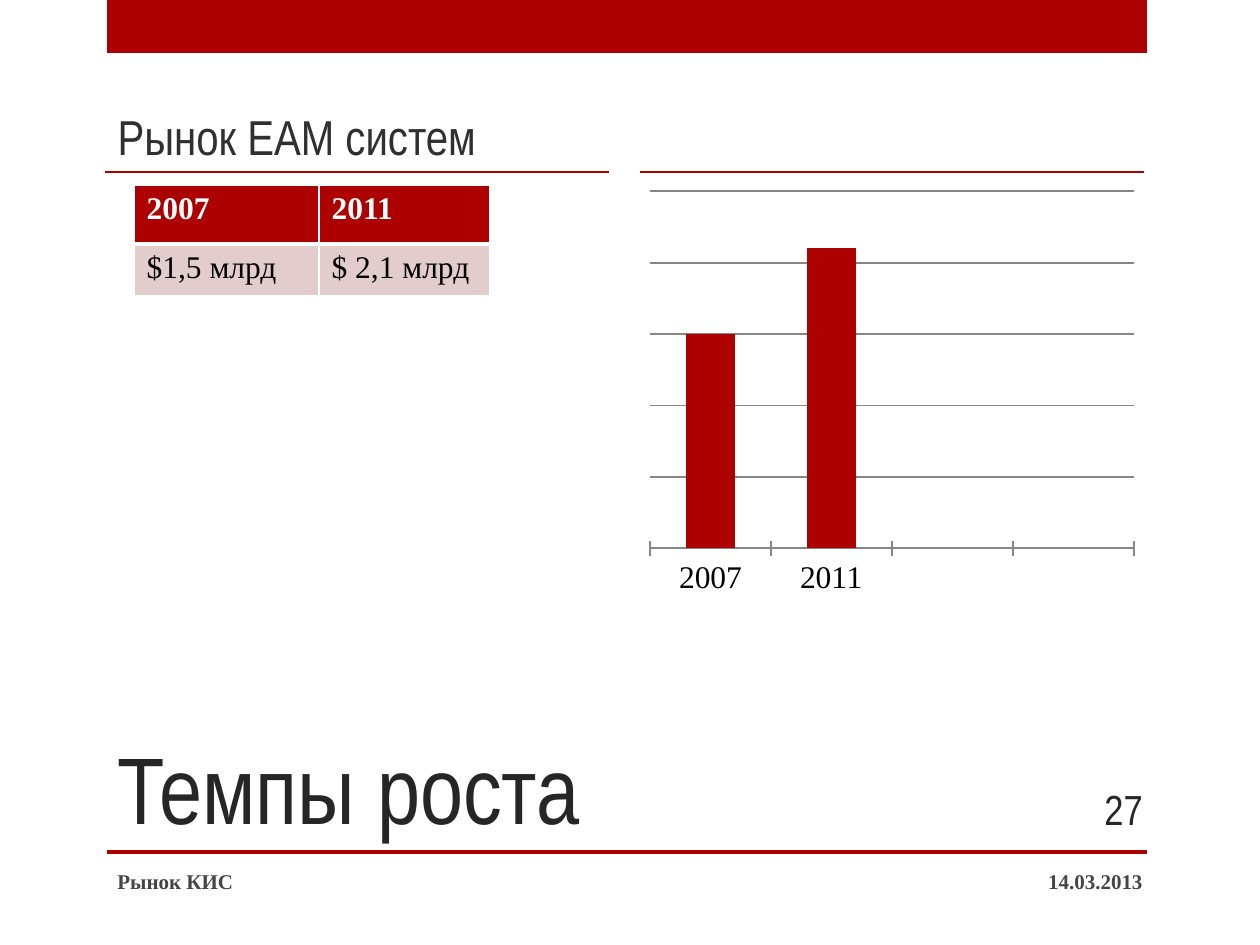
from dataclasses import dataclass

from lxml import etree
from pptx import Presentation
from pptx.chart.data import CategoryChartData
from pptx.dml.color import RGBColor
from pptx.enum.chart import XL_CHART_TYPE, XL_TICK_LABEL_POSITION, XL_TICK_MARK
from pptx.enum.shapes import MSO_CONNECTOR, MSO_SHAPE
from pptx.enum.text import MSO_ANCHOR, MSO_AUTO_SIZE, PP_ALIGN
from pptx.oxml.ns import qn
from pptx.util import Emu, Pt

STACKED = XL_CHART_TYPE.COLUMN_STACKED
LABEL_LOW = XL_TICK_LABEL_POSITION.LOW
TICK_CROSS = XL_TICK_MARK.CROSS
STRAIGHT = MSO_CONNECTOR.STRAIGHT
RECT = MSO_SHAPE.RECTANGLE
TOP, MIDDLE, BOTTOM = MSO_ANCHOR.TOP, MSO_ANCHOR.MIDDLE, MSO_ANCHOR.BOTTOM
NO_FIT = MSO_AUTO_SIZE.NONE
LEFT, RIGHT = PP_ALIGN.LEFT, PP_ALIGN.RIGHT
COMPARISON_LAYOUT = 4
EMU_PER_PX = 914400 / 126


@dataclass(frozen=True)
class Theme:
    heading_font: str = "Arial Narrow"
    body_font: str = "Times New Roman"
    accent: str = "AD0101"
    brown: str = "726056"
    tan: str = "AC956E"
    pale: str = "E3CCCC"
    white: str = "FFFFFF"
    black: str = "000000"
    title: str = "262626"
    subtitle: str = "303030"
    footer: str = "454545"
    grid: str = "868686"
    title_size: int = 54
    subtitle_size: int = 28
    number_size: int = 24
    body_size: int = 18
    footer_size: int = 12


T = Theme()


@dataclass(frozen=True)
class Box:
    x: int
    y: int
    w: int
    h: int

    def emu(self) -> tuple:
        return px(self.x), px(self.y), px(self.w), px(self.h)


@dataclass(frozen=True)
class Note:
    text: str
    box: Box
    align: PP_ALIGN
    fmt: dict


def px(n: int) -> Emu:
    return Emu(round(n * EMU_PER_PX))


def rgb(color: str) -> RGBColor:
    return RGBColor.from_string(color)


def write(tf, text: str, *, size: int, color: str, font: str = T.body_font,
          bold: bool = False, align: PP_ALIGN = LEFT,
          anchor: MSO_ANCHOR = MIDDLE) -> None:
    tf.word_wrap = True
    tf.vertical_anchor = anchor
    p = tf.paragraphs[0]
    p.alignment = align
    p.space_before = Pt(0)
    r = p.add_run()
    r.text = text
    r.font.name, r.font.size, r.font.bold = font, Pt(size), bold
    r.font.color.rgb = rgb(color)


def fill_placeholder(sp, box: Box, text: str, **fmt) -> None:
    sp.left, sp.top, sp.width, sp.height = box.emu()
    sp.text_frame.auto_size = NO_FIT
    write(sp.text_frame, text, font=T.heading_font, anchor=BOTTOM, **fmt)


def add_bar(s, box: Box) -> None:
    sp = s.shapes.add_shape(RECT, *box.emu())
    sp.shadow.inherit = False
    sp.fill.solid()
    sp.fill.fore_color.rgb = rgb(T.accent)
    sp.line.fill.background()


def add_rule(s, x: int, y: int, w: int) -> None:
    sp = s.shapes.add_connector(STRAIGHT, px(x), px(y), px(x + w), px(y))
    sp.line.color.rgb = rgb(T.accent)
    sp.line.width = Pt(1.25)
    etree.SubElement(sp.element.spPr, qn("a:effectLst"))


def add_note(s, note: Note) -> None:
    sp = s.shapes.add_textbox(*note.box.emu())
    write(sp.text_frame, note.text, align=note.align, **note.fmt)


def set_borders(cell, top: int, bottom: int) -> None:
    tc_pr = cell._tc.get_or_add_tcPr()
    widths = {"a:lnL": 1, "a:lnR": 1, "a:lnT": top, "a:lnB": bottom}
    for i, (tag, width) in enumerate(widths.items()):
        ln = etree.Element(qn(tag), w=str(Pt(width)))
        solid = etree.SubElement(ln, qn("a:solidFill"))
        etree.SubElement(solid, qn("a:srgbClr"), val=T.white)
        tc_pr.insert(i, ln)


def add_market_table(s, box: Box, cols: list, rows: list, data: list) -> None:
    table = s.shapes.add_table(len(rows), len(cols), *box.emu()).table
    for col, w in zip(table.columns, cols):
        col.width = px(w)
    for i, (row, h, texts) in enumerate(zip(table.rows, rows, data)):
        row.height = px(h)
        head = i == 0
        for cell, text in zip(row.cells, texts):
            cell.fill.solid()
            cell.fill.fore_color.rgb = rgb(T.accent if head else T.pale)
            cell.vertical_anchor = TOP
            write(cell.text_frame, text, size=T.body_size, bold=head,
                  color=T.white if head else T.black, anchor=None)
            set_borders(cell, top=1 if head else 3, bottom=3 if head else 1)


def set_plot_area(chart, x: float, y: float, w: float, h: float) -> None:
    plot_area = chart._chartSpace.chart.plotArea
    for old in plot_area.findall(qn("c:layout")):
        plot_area.remove(old)
    layout = etree.Element(qn("c:layout"))
    manual = etree.SubElement(layout, qn("c:manualLayout"))
    parts = {"layoutTarget": "inner", "xMode": "edge", "yMode": "edge",
             "x": x, "y": y, "w": w, "h": h}
    for tag, val in parts.items():
        etree.SubElement(manual, qn(f"c:{tag}"), val=str(val))
    plot_area.insert(0, layout)


def add_growth_chart(s, box: Box) -> None:
    data = CategoryChartData()
    data.categories = ["2007", "2011", "", ""]
    data.add_series("Series 1", [1.5, 2.1, None, None])
    data.add_series("Series 2", [None] * 4)
    data.add_series("Series 3", [None] * 4)
    chart = s.shapes.add_chart(STACKED, *box.emu(), data).chart
    chart.has_legend = chart.has_title = False
    chart.font.name, chart.font.size = T.body_font, Pt(T.body_size)
    chart.font.color.rgb = rgb(T.black)
    plot = chart.plots[0]
    plot.vary_by_categories = False
    plot.gap_width, plot.overlap = 150, 100
    for series, color in zip(plot.series, (T.accent, T.brown, T.tan)):
        series.format.fill.solid()
        series.format.fill.fore_color.rgb = rgb(color)
    cat, val = chart.category_axis, chart.value_axis
    cat.major_tick_mark = TICK_CROSS
    cat.tick_label_position = LABEL_LOW
    val.minimum_scale, val.maximum_scale, val.major_unit = 0, 2.5, 0.5
    val.has_major_gridlines = True
    val.visible = False
    for line in (cat.format.line, val.major_gridlines.format.line):
        line.color.rgb = rgb(T.grid)
        line.width = Pt(1)
    set_plot_area(chart, 0.02, 0.02, 0.96, 0.85)


def main() -> None:
    prs = Presentation()
    prs.slide_width, prs.slide_height = px(1260), px(945)
    s = prs.slides.add_slide(prs.slide_layouts[COMPARISON_LAYOUT])
    title, subtitle, *unused = list(s.placeholders)
    for sp in unused:
        sp.element.getparent().remove(sp.element)

    for box in (Box(107, 0, 1040, 53), Box(107, 850, 1040, 4)):
        add_bar(s, box)
    for x in (105, 640):
        add_rule(s, x, 172, 504)

    fill_placeholder(title, Box(105, 630, 935, 220), "Темпы роста",
                     size=T.title_size, color=T.title)
    fill_placeholder(subtitle, Box(105, 84, 426, 88), "Рынок EAM систем",
                     size=T.subtitle_size, color=T.subtitle)
    add_market_table(s, Box(134, 185, 356, 111), [185, 171], [59, 52],
                     [["2007", "2011"], ["$1,5 млрд", "$ 2,1 млрд"]])
    add_growth_chart(s, Box(640, 183, 504, 420))

    footer = dict(size=T.footer_size, color=T.footer, bold=True)
    number = dict(size=T.number_size, color=T.title, font=T.heading_font)
    for note in (Note("14.03.2013", Box(861, 856, 294, 50), RIGHT, footer),
                 Note("27", Box(1050, 784, 105, 50), RIGHT, number),
                 Note("Рынок КИС", Box(105, 856, 672, 50), LEFT, footer)):
        add_note(s, note)
    prs.save("out.pptx")


if __name__ == "__main__":
    main()
